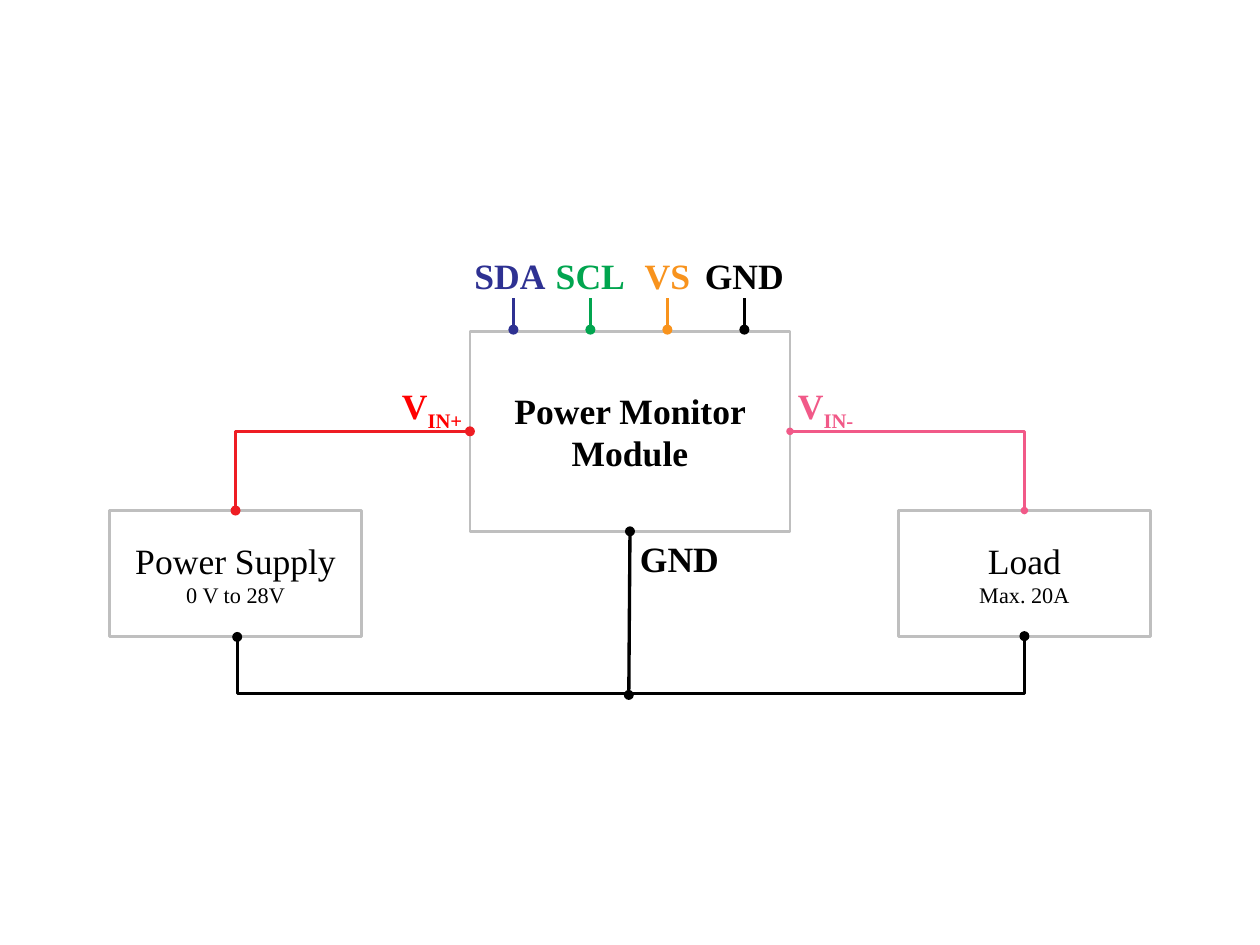
from dataclasses import dataclass
from typing import Optional

from lxml.etree import SubElement
from pptx import Presentation
from pptx.dml.color import RGBColor
from pptx.enum.shapes import MSO_CONNECTOR, MSO_SHAPE
from pptx.enum.text import MSO_ANCHOR, MSO_AUTO_SIZE, PP_ALIGN
from pptx.oxml.ns import qn
from pptx.util import Inches, Pt


@dataclass(frozen=True)
class Theme:
    font: str = "Times New Roman"
    large: float = 32
    small: float = 20
    thin: float = 2.25
    thick: float = 3
    black: str = "000000"
    frame: str = "BFBFBF"
    blue: str = "2E3192"
    green: str = "01A54F"
    orange: str = "F8931D"
    red: str = "FF0000"
    wire_red: str = "EE1D23"
    pink: str = "F15988"


@dataclass(frozen=True)
class Run:
    text: str
    size: float
    color: str = Theme.black
    bold: bool = False
    subscript: bool = False
    new_line: bool = False


@dataclass(frozen=True)
class Area:
    left: float
    top: float
    width: float
    height: float

    @property
    def mid_x(self) -> float:
        return self.left + self.width / 2

    @property
    def mid_y(self) -> float:
        return self.top + self.height / 2

    @property
    def right(self) -> float:
        return self.left + self.width

    @property
    def bottom(self) -> float:
        return self.top + self.height


@dataclass(frozen=True)
class Block:
    area: Area
    runs: list[Run]


@dataclass(frozen=True)
class Label:
    area: Area
    runs: list[Run]
    align: PP_ALIGN


@dataclass(frozen=True)
class Wire:
    start: tuple[float, float]
    end: tuple[float, float]
    color: str
    width: float = Theme.thick
    preset: Optional[str] = None
    start_dot: bool = True
    turn: int = 0
    bend: Optional[int] = None


# Square grid, 63 columns across the slide
COLUMNS = 63
CENTER = COLUMNS / 2
T = Theme()
prs = Presentation()
prs.slide_width, prs.slide_height = Inches(15.75), Inches(11.81)
slide = prs.slides.add_slide(prs.slide_layouts[6])
cell = prs.slide_width / COLUMNS


def grid(*cells: float) -> list[int]:
    return [round(c * cell) for c in cells]


def place(a: Area) -> list[int]:
    return grid(a.left, a.top, a.width, a.height)


def write(tf, runs: list[Run], align: PP_ALIGN) -> None:
    tf.word_wrap = True
    p = tf.paragraphs[0]
    p.alignment = align
    for item in runs:
        if item.new_line:
            p.add_line_break()
        r = p.add_run()
        r.text = item.text
        r.font.name, r.font.size = T.font, Pt(item.size)
        r.font.bold = item.bold
        r.font.color.rgb = RGBColor.from_string(item.color)
        if item.subscript:
            r.font._element.set("baseline", "-25000")


def draw_block(b: Block) -> None:
    sp = slide.shapes.add_shape(MSO_SHAPE.RECTANGLE, *place(b.area))
    sp.shadow.inherit = False
    sp.fill.background()
    sp.line.color.rgb = RGBColor.from_string(T.frame)
    sp.line.width = Pt(T.thin)
    sp.text_frame.vertical_anchor = MSO_ANCHOR.MIDDLE
    write(sp.text_frame, b.runs, PP_ALIGN.CENTER)


def draw_label(item: Label) -> None:
    tf = slide.shapes.add_textbox(*place(item.area)).text_frame
    write(tf, item.runs, item.align)
    tf.auto_size = MSO_AUTO_SIZE.SHAPE_TO_FIT_TEXT


def draw_wire(w: Wire) -> None:
    kind = MSO_CONNECTOR.ELBOW if w.preset else MSO_CONNECTOR.STRAIGHT
    cx = slide.shapes.add_connector(kind, *grid(*w.start, *w.end))
    cx.line.color.rgb = RGBColor.from_string(w.color)
    cx.line.width = Pt(w.width)
    pr = cx._element.spPr
    ln = pr.find(qn("a:ln"))
    if w.start_dot:
        SubElement(ln, qn("a:headEnd"), type="oval")
    SubElement(ln, qn("a:tailEnd"), type="oval")
    SubElement(pr, qn("a:effectLst"))
    if w.preset:
        geom = pr.find(qn("a:prstGeom"))
        geom.set("prst", w.preset)
        if w.bend is not None:
            SubElement(geom.find(qn("a:avLst")), qn("a:gd"),
                       name="adj1", fmla=f"val {w.bend}")
    if w.turn:
        pr.find(qn("a:xfrm")).set("rot", str(w.turn * 60000))


def bold(text: str, color: str = T.black, subscript: bool = False) -> Run:
    return Run(text, T.large, color, True, subscript)


def device(left: float, name: str, rating: str) -> Block:
    return Block(Area(left, 25.52, 12.6, 6.3),
                 [Run(name, T.large), Run(rating, T.small, new_line=True)])


# Module, supply and load
module = Block(Area(CENTER - 8, 16.56, 16, 10), [bold("Power Monitor Module")])
supply = device(5.48, "Power Supply", "0 V to 28V")
load = device(COLUMNS - supply.area.right, "Load", "Max. 20A")
for block in (module, supply, load):
    draw_block(block)
m, s, ld = module.area, supply.area, load.area

# Input wires
ELBOW = "bentConnector2"
draw_wire(Wire((m.left, m.mid_y), (s.mid_x, s.top), T.wire_red, preset=ELBOW))
draw_wire(Wire((m.right, m.mid_y), (ld.mid_x, ld.top), T.pink, T.thin, ELBOW))

# Ground bus: a tall, narrow bracket turned by 90 degrees
BUS_Y, STEP = 34.74, 0.04
supply_pin = s.mid_x + 0.08
bus_mid, half = (supply_pin + ld.mid_x) / 2, (ld.mid_x - supply_pin) / 2
draw_wire(Wire((bus_mid - STEP / 2, s.bottom - half),
               (bus_mid + STEP / 2, s.bottom + half), T.black,
               preset="bentConnector3", turn=90,
               bend=round((BUS_Y - s.bottom) / STEP * 100000)))
draw_wire(Wire((CENTER - 0.06, BUS_Y), (CENTER, m.bottom), T.black))

# Input and ground labels
VIN_W, LABEL_W, LABEL_H = 10.84, 6.28, 2.56
for left, sign, color, align in (
        (m.left - VIN_W, "+", T.red, PP_ALIGN.RIGHT),
        (m.right, "-", T.pink, PP_ALIGN.LEFT)):
    draw_label(Label(Area(left, 19, VIN_W, LABEL_H),
                     [bold("V", color), bold("IN" + sign, color, True)], align))
draw_label(Label(Area(CENTER + 0.1, 26.64, LABEL_W, LABEL_H),
                 [bold("GND")], PP_ALIGN.LEFT))

# Header pins at equal pitch
PINS = (("SDA ", T.blue), ("SCL", T.green), ("VS", T.orange), ("GND", T.black))
for i, (name, color) in enumerate(PINS):
    x = 25.67 + 3.85 * i
    draw_label(Label(Area(x - LABEL_W / 2, 12.48, LABEL_W, LABEL_H),
                     [bold(name, color)], PP_ALIGN.CENTER))
    draw_wire(Wire((x, 14.92), (x, 16.48), color, start_dot=False))

prs.save("out.pptx")
